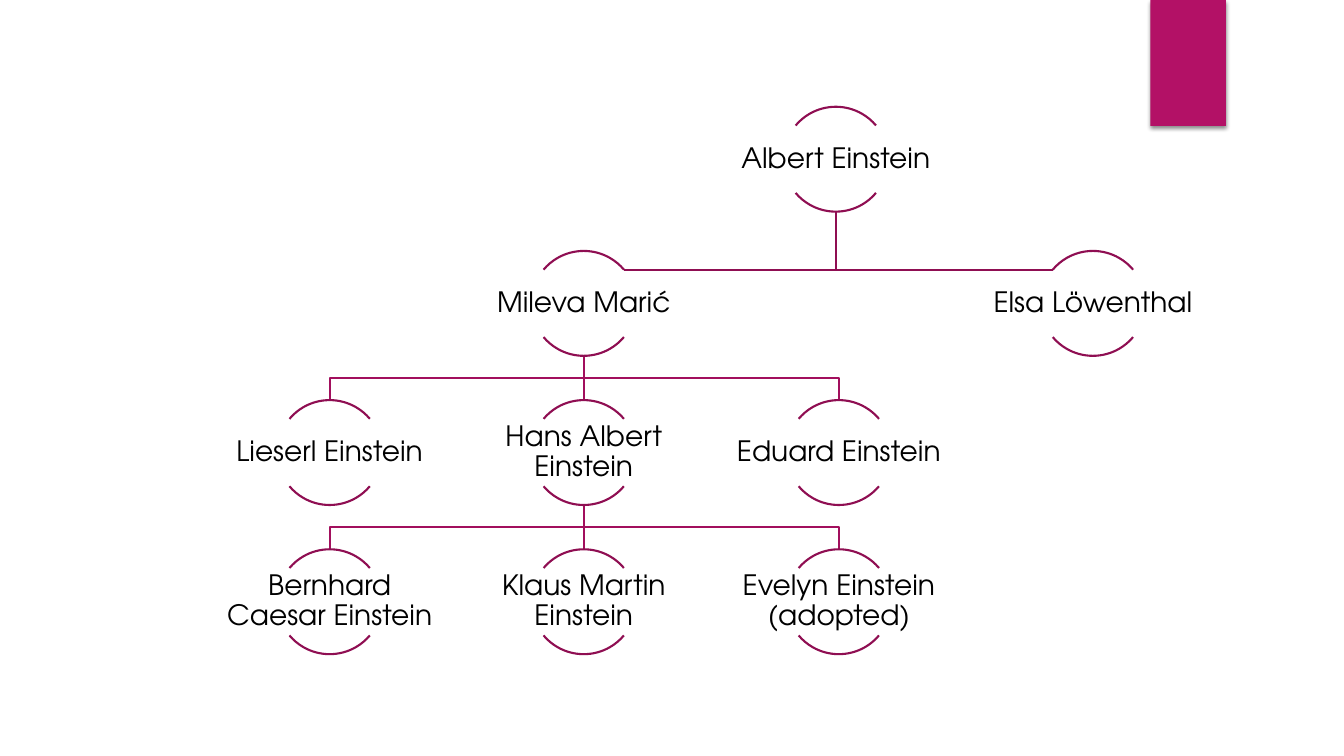
from lxml import etree
from pptx import Presentation
from pptx.dml.color import RGBColor
from pptx.enum.shapes import MSO_CONNECTOR, MSO_SHAPE
from pptx.enum.text import MSO_ANCHOR, PP_ALIGN
from pptx.oxml.ns import qn
from pptx.util import Inches, Pt

FONT = "TeX Gyre Adventor"
ACCENT, ARC_COLOR, CHILD_LINE = "B31166", "8F0E52", "A20F5D"
CIRCLE = 1.04
LABEL_WIDTH, LABEL_HEIGHT = 2.09, 0.67
ARC_DROP = 0.19  # from the top of a circle to the ends of its upper arc
ARC_REACH = 0.4  # from the centre of a circle to the ends of its arcs
ARC_ANGLES = [(132, 192), (24, 84)]

# Centre and top of each person, measured from the corner of the tree
PEOPLE = {
    "Albert Einstein": (6.06, 0),
    "Mileva Marić": (3.56, 1.43),
    "Elsa Löwenthal": (8.61, 1.43),
    "Lieserl Einstein": (1.04, 2.91),
    "Hans Albert Einstein": (3.56, 2.91),
    "Eduard Einstein": (6.09, 2.91),
    "Bernhard Caesar Einstein": (1.04, 4.39),
    "Klaus Martin Einstein": (3.56, 4.39),
    "Evelyn Einstein (adopted)": (6.09, 4.39),
}
SPOUSES = {"Albert Einstein": ["Mileva Marić", "Elsa Löwenthal"]}
CHILDREN = {
    "Mileva Marić": ["Lieserl Einstein", "Hans Albert Einstein", "Eduard Einstein"],
    "Hans Albert Einstein": [
        "Bernhard Caesar Einstein", "Klaus Martin Einstein", "Evelyn Einstein (adopted)"],
}


def color(hex_string):
    return RGBColor.from_string(hex_string)


def style_line(shape, hex_string):
    shape.line.color.rgb = color(hex_string)
    shape.line.width = Pt(1.5)


def add_branch(page, points, hex_string):
    """Draw a straight connector for two points, or an open bent line for more."""
    points = [(Inches(x), Inches(y)) for x, y in points]
    if len(points) == 2:
        branch = page.shapes.add_connector(MSO_CONNECTOR.STRAIGHT, *points[0], *points[1])
        etree.SubElement(branch._element.spPr, qn("a:effectLst"))
    else:
        builder = page.shapes.build_freeform(*points[0])
        builder.add_line_segments(points[1:], close=False)
        branch = builder.convert_to_shape()
        branch.fill.background()
        branch.shadow.inherit = False
    style_line(branch, hex_string)


def add_person(page, name, center, top):
    for angles in ARC_ANGLES:
        arc = page.shapes.add_shape(
            MSO_SHAPE.ARC, Inches(center - CIRCLE / 2), Inches(top),
            Inches(CIRCLE), Inches(CIRCLE))
        arc.adjustments[0], arc.adjustments[1] = angles
        arc.fill.background()
        arc.shadow.inherit = False
        style_line(arc, ARC_COLOR)

    box = page.shapes.add_textbox(
        Inches(center - LABEL_WIDTH / 2), Inches(top + (CIRCLE - LABEL_HEIGHT) / 2),
        Inches(LABEL_WIDTH), Inches(LABEL_HEIGHT))
    frame = box.text_frame
    frame.word_wrap = True
    frame.vertical_anchor = MSO_ANCHOR.MIDDLE
    frame.margin_left = frame.margin_right = Inches(0.01)
    frame.margin_top = frame.margin_bottom = Inches(0.01)
    para = frame.paragraphs[0]
    para.text = name
    para.alignment = PP_ALIGN.CENTER
    para.line_spacing = 0.9
    para.font.name = FONT
    para.font.size = Pt(20)
    para.font.color.rgb = color("000000")


def add_family_tree(page, left, top):
    places = {name: (left + x, top + y) for name, (x, y) in PEOPLE.items()}

    for person, spouses in SPOUSES.items():
        x, y = places[person]
        for spouse in spouses:
            spouse_x, spouse_y = places[spouse]
            end_x = spouse_x + (ARC_REACH if spouse_x < x else -ARC_REACH)
            end_y = spouse_y + ARC_DROP
            add_branch(page, [(x, y + CIRCLE), (x, end_y), (end_x, end_y)], ARC_COLOR)

    for parent, children in CHILDREN.items():
        x, y = places[parent]
        start_y = y + CIRCLE
        for child in children:
            child_x, child_y = places[child]
            middle_y = (start_y + child_y) / 2
            bend = [] if child_x == x else [(x, middle_y), (child_x, middle_y)]
            add_branch(page, [(x, start_y), *bend, (child_x, child_y)], CHILD_LINE)

    for name, (center, person_top) in places.items():
        add_person(page, name, center, person_top)


def add_corner_tab(page, left, top, width, height):
    tab = page.shapes.add_shape(
        MSO_SHAPE.RECTANGLE, Inches(left), Inches(top), Inches(width), Inches(height))
    tab.fill.solid()
    tab.fill.fore_color.rgb = color(ACCENT)
    tab.line.fill.background()
    tab.shadow.inherit = False
    effects = tab._element.spPr.find(qn("a:effectLst"))
    shadow = etree.SubElement(
        effects, qn("a:outerShdw"), blurRad=str(Pt(3)), dist=str(Pt(2)),
        dir="5400000", rotWithShape="0")
    shade = etree.SubElement(shadow, qn("a:srgbClr"), val="000000")
    etree.SubElement(shade, qn("a:alpha"), val="45000")


def main():
    deck = Presentation()
    deck.slide_width, deck.slide_height = Inches(13.33), Inches(7.5)
    page = deck.slides.add_slide(deck.slide_layouts[6])
    add_corner_tab(page, 11.41, 0, 0.75, 1.25)
    add_family_tree(page, 2.23, 1.06)
    deck.save("out.pptx")


if __name__ == "__main__":
    main()
